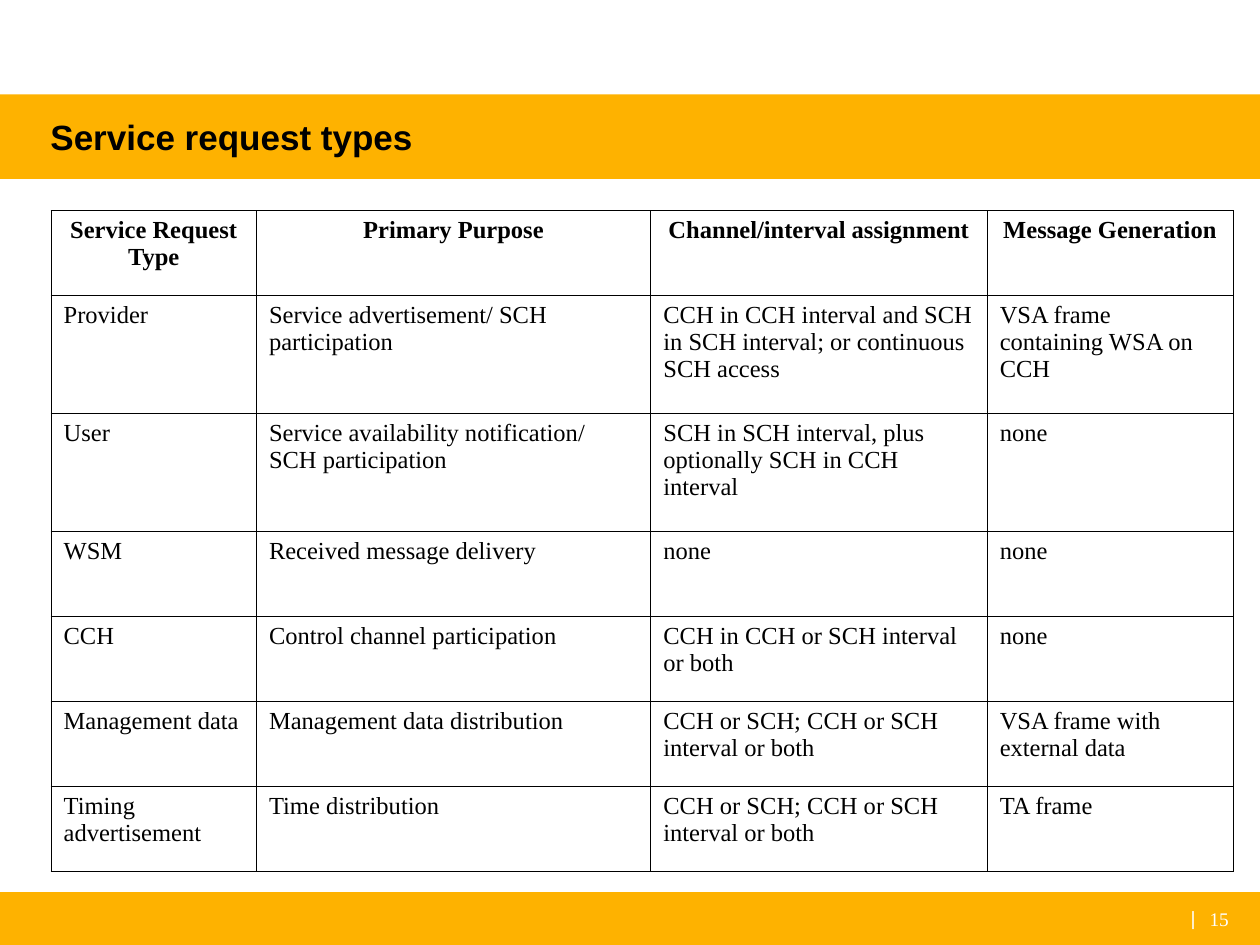
from lxml import etree
from pptx import Presentation, util as u
from pptx.dml.color import RGBColor
from pptx.enum import shapes, text
from pptx.oxml.ns import qn

AMBER = RGBColor(0xFE, 0xB2, 0x00)
WHITE = RGBColor(0xFF, 0xFF, 0xFF)
BLACK = RGBColor(0x00, 0x00, 0x00)
SANS, SERIF = "Arial", "Times New Roman"
COLUMNS, ROWS = 100, 75
LEFT, CENTER = text.PP_ALIGN.LEFT, text.PP_ALIGN.CENTER

REQUEST_TYPES = [
    ("Service Request Type", "Primary Purpose",
     "Channel/interval assignment", "Message Generation"),
    ("Provider", "Service advertisement/ SCH participation",
     "CCH in CCH interval and SCH in SCH interval; or continuous SCH access",
     "VSA frame containing WSA on CCH"),
    ("User", "Service availability notification/ SCH participation",
     "SCH in SCH interval, plus optionally SCH in CCH interval", "none"),
    ("WSM", "Received message delivery", "none", "none"),
    ("CCH", "Control channel participation",
     "CCH in CCH or SCH interval or both", "none"),
    ("Management data", "Management data distribution",
     "CCH or SCH; CCH or SCH interval or both", "VSA frame with external data"),
    ("Timing advertisement", "Time distribution",
     "CCH or SCH; CCH or SCH interval or both", "TA frame"),
]
PURPOSE_COLUMNS = [16.3, 31.3, 26.7, 19.5]
SHORT_ROW, TALL_ROW = 6.75, 9.37
TALL_REQUESTS = ("Provider", "User")


class SlideBuilder:
    """Places elements on a grid of COLUMNS by ROWS cells."""

    def __init__(self, deck):
        self.column = deck.slide_width / COLUMNS
        self.row = deck.slide_height / ROWS
        self.slide = deck.slides.add_slide(deck.slide_layouts[5])
        self.shapes = self.slide.shapes

    def across(self, columns):
        return u.Emu(round(columns * self.column))

    def down(self, rows):
        return u.Emu(round(rows * self.row))

    def place(self, left, top, width, height):
        return (self.across(left), self.down(top),
                self.across(width), self.down(height))

    def add_words(self, frame, words, font, size, color, bold=False, align=LEFT):
        paragraph = frame.paragraphs[0]
        paragraph.alignment = align
        run = paragraph.add_run()
        run.text = words
        run.font.name, run.font.size = font, u.Pt(size)
        run.font.bold, run.font.color.rgb = bold, color

    def center_vertically(self, frame, wrap=True):
        frame.margin_left = frame.margin_right = 0
        frame.margin_top = frame.margin_bottom = 0
        frame.vertical_anchor = text.MSO_ANCHOR.MIDDLE
        frame.auto_size = text.MSO_AUTO_SIZE.NONE
        frame.word_wrap = wrap

    def band(self, top, height):
        band = self.shapes.add_shape(
            shapes.MSO_SHAPE.RECTANGLE, *self.place(0, top, COLUMNS, height))
        band.shadow.inherit = False
        band.fill.solid()
        band.fill.fore_color.rgb = AMBER
        band.line.fill.background()

    def title(self, words, *box):
        title = self.shapes.title
        title.left, title.top, title.width, title.height = self.place(*box)
        self.center_vertically(title.text_frame)
        self.add_words(title.text_frame, words, SANS, 20, BLACK, bold=True)
        # Bring the title in front of its band.
        title.element.getparent().append(title.element)

    def label(self, words, font, *box, align=LEFT, wrap=True):
        frame = self.shapes.add_textbox(*self.place(*box)).text_frame
        self.center_vertically(frame, wrap)
        self.add_words(frame, words, font, 11, WHITE, align=align)

    def border(self, cell):
        properties = cell._tc.get_or_add_tcPr()
        for position, side in enumerate(("lnL", "lnR", "lnT", "lnB")):
            line = etree.Element(qn(f"a:{side}"), w=str(int(u.Pt(0.45))))
            fill = etree.SubElement(line, qn("a:solidFill"))
            etree.SubElement(fill, qn("a:srgbClr"), val=str(BLACK))
            properties.insert(position, line)

    def table(self, records, left, top, widths, heights):
        table = self.shapes.add_table(
            len(records), len(widths),
            *self.place(left, top, sum(widths), sum(heights))).table
        for column, width in zip(table.columns, widths):
            column.width = self.across(width)
        for row, height, record in zip(table.rows, heights, records):
            row.height = self.down(height)
            heading = record is records[0]
            for cell, words in zip(row.cells, record):
                cell.fill.background()
                self.border(cell)
                self.add_words(cell.text_frame, words, SERIF, 14, BLACK,
                               bold=heading, align=CENTER if heading else LEFT)


def main():
    deck = Presentation()
    deck.slide_width, deck.slide_height = u.Inches(10), u.Inches(7.5)
    page = SlideBuilder(deck)
    page.band(7.5, 6.7)
    page.band(70.8, 4.2)
    page.label("|", SANS, 94.2, 70.9, 1, 3.9, align=CENTER, wrap=False)
    page.title("Service request types", 4, 7.9, 91.9, 5.9)
    heights = [TALL_ROW if record[0] in TALL_REQUESTS else SHORT_ROW
               for record in REQUEST_TYPES]
    page.table(REQUEST_TYPES, 4.05, 16.7, PURPOSE_COLUMNS, heights)
    page.label("15", SERIF, 96, 70.8, 4, 4.2)
    deck.save("out.pptx")


if __name__ == "__main__":
    main()
